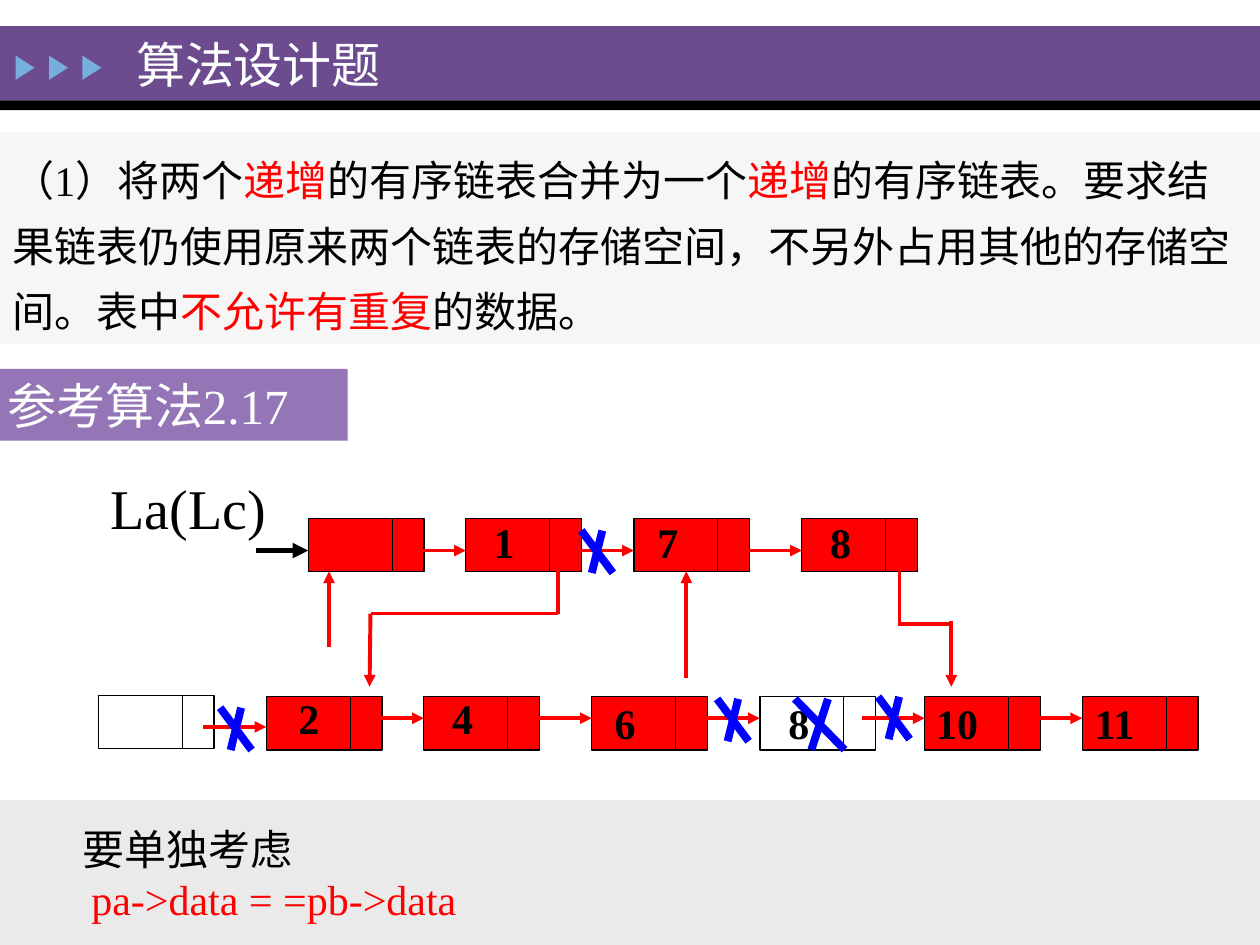
"""Draw the slide on merging two sorted linked lists."""
from typing import NamedTuple, Optional

from lxml.etree import SubElement
from pptx import Presentation
from pptx.dml.color import RGBColor as Rgb
from pptx.enum.shapes import MSO_CONNECTOR as Conn, MSO_SHAPE as Kind
from pptx.enum.text import MSO_ANCHOR as Anchor, MSO_AUTO_SIZE as Fit, PP_ALIGN as Align
from pptx.oxml.ns import qn
from pptx.util import Pt

FONT = "Times New Roman"
WHITE = Rgb(0xFE, 0xFF, 0xFF)
BLACK = Rgb(0, 0, 0)
RED = Rgb(0xFF, 0, 0)
BLUE = Rgb(0, 0, 0xFF)
PURPLE = Rgb(0x6C, 0x4C, 0x8F)
LILAC = Rgb(0x94, 0x76, 0xB6)
SKY = Rgb(0x76, 0xAE, 0xDD)
PALE = Rgb(0xF6, 0xF6, 0xF6)
GRAY = Rgb(0xEA, 0xEA, 0xEA)

DATA, LINK, HIGH = 48, 18.2, 30.4
TOP, LOW = 296.4, 398.2
LEAD = 36


class Run(NamedTuple):
    text: str
    color: Rgb = BLACK


class Node(NamedTuple):
    x: float
    y: float
    text: str = ""
    tx: float = 0
    ty: float = 0
    wide: float = 26.6
    fill: Optional[Rgb] = RED


class Edge(NamedTuple):
    x1: float
    y1: float
    x2: float
    y2: float
    head: bool = True
    color: Rgb = RED
    width: float = 2.25


class Cross(NamedTuple):
    x: float
    y: float
    w: float = 18
    h: float = 24.2


NODES = [
    Node(176.2, TOP),
    Node(266.2, TOP, "1", 275, 291.6),
    Node(362.2, TOP, "7", 368.6, 291.6),
    Node(458.2, TOP, "8", 467.3, 291.6),
    Node(56.2, 397.4, fill=None),
    Node(152.2, LOW, "2", 163.4, 392.4),
    Node(242.2, LOW, "4", 251.3, 392.4),
    Node(338.2, LOW, "6", 344.2, 395.3),
    Node(434.2, LOW, "8", 443.5, 395.3, fill=None),
    Node(528.4, LOW, "10", 527.8, 395.3, 38.6),
    Node(618.4, LOW, "11", 618.5, 395.3, 37.6),
]
EDGES = [
    Edge(146.2, 314.6, 176.2, 314.6, color=BLACK, width=3),
    Edge(116.2, 415.4, 152.2, 415.4),
    Edge(188, 370, 188, 326.5),
    Edge(319, 314.6, 319, 350.6, False),
    Edge(319, 350.6, 212, 350.6, False),
    Edge(211.7, 350.6, 211.2, 392.4),
    Edge(392.2, 387.4, 392.2, 326.5),
    Edge(514, 314.6, 514, 356.4, False),
    Edge(543, 356.4, 513, 356.4, False),
    Edge(543.6, 355, 543.6, 392.4),
]
MARKS = [
    Cross(332.2, 303.2), Cross(409.8, 399.4), Cross(125.8, 404.4),
    Cross(454.2, 399.4, 28.4, 29), Cross(501.8, 398.2),
]


def box(shapes, x: float, y: float, w: float, h: float,
        fill: Optional[Rgb], kind=Kind.RECTANGLE, edge: Optional[Rgb] = None):
    shape = shapes.add_shape(kind, Pt(x), Pt(y), Pt(w), Pt(h))
    shape.shadow.inherit = False
    if fill is None:
        shape.fill.background()
    else:
        shape.fill.solid()
        shape.fill.fore_color.rgb = fill
    if edge is None:
        shape.line.fill.background()
    else:
        shape.line.color.rgb = edge
        shape.line.width = Pt(0.75)
    return shape


def write(para, runs: list[Run], size: float, bold: bool = False) -> None:
    para.alignment = Align.LEFT
    for item in runs:
        run = para.add_run()
        run.text = item.text
        run.font.name = FONT
        run.font.size = Pt(size)
        run.font.bold = bold
        run.font.color.rgb = item.color


def label(shapes, x: float, y: float, w: float, h: float,
          text: str, size: float, bold: bool, wrap: bool) -> None:
    frame = shapes.add_textbox(Pt(x), Pt(y), Pt(w), Pt(h)).text_frame
    frame.word_wrap = wrap
    frame.auto_size = Fit.SHAPE_TO_FIT_TEXT
    write(frame.paragraphs[0], [Run(text)], size, bold)


def draw(shapes, edge: Edge) -> None:
    line = shapes.add_connector(
        Conn.STRAIGHT, Pt(edge.x1), Pt(edge.y1), Pt(edge.x2), Pt(edge.y2))
    line.line.color.rgb = edge.color
    line.line.width = Pt(edge.width)
    props = line.element.spPr
    if edge.head:
        SubElement(props.find(qn("a:ln")), qn("a:tailEnd"), type="triangle")
    SubElement(props, qn("a:effectLst"))


def strike(shapes, mark: Cross) -> None:
    x, y, w, h = mark
    for start, end in ((2 / 3, 1 / 3), (0, 1)):
        draw(shapes, Edge(x + start * w, y, x + end * w, y + h, False, BLUE, 4.5))


def head(slide) -> None:
    shapes = slide.shapes
    box(shapes, 0, 15, 720, 42.4, PURPLE)
    box(shapes, 0, 57.4, 720, 5.6, BLACK)
    for x in (7.4, 26.6, 45.6):
        box(shapes, x, 33.3, 13.8, 10.8, SKY, Kind.ISOSCELES_TRIANGLE).rotation = 90
    title = shapes.title
    title.left, title.top, title.width, title.height = Pt(70.6), Pt(15.8), Pt(267), Pt(41)
    frame = title.text_frame
    frame.vertical_anchor = Anchor.MIDDLE
    frame.auto_size = Fit.NONE
    write(frame.paragraphs[0], [Run("算法设计题", WHITE)], 28)
    title.element.getparent().append(title.element)


def panels(shapes) -> None:
    task = box(shapes, 0, 75.6, 720, 120.6, PALE).text_frame
    task.word_wrap = True
    task.paragraphs[0].line_spacing = 1.3
    write(task.paragraphs[0], [
        Run("（1）将两个"), Run("递增", RED), Run("的有序链表合并为一个"), Run("递增", RED),
        Run("的有序链表。要求结果链表仍使用原来两个链表的存储空间，不另外占用其他的存储空间。表中"),
        Run("不允许有重复", RED), Run("的数据。"),
    ], 24)
    hint = box(shapes, -2.9, 210.8, 201.6, 41, LILAC).text_frame
    write(hint.paragraphs[0], [Run("参考算法2.17", WHITE)], 28)
    note = box(shapes, -2.9, 457.2, 722.9, 84.2, GRAY).text_frame
    rows = ((note.paragraphs[0], 43, Run("要单独考虑")),
            (note.add_paragraph(), 48, Run("pa->data = =pb->data", RED)))
    for para, left, run in rows:
        para._p.get_or_add_pPr().set("marL", str(Pt(left)))
        write(para, [run], 24)
    for frame in (task, hint, note):
        frame.vertical_anchor = Anchor.MIDDLE


def chains(shapes) -> None:
    for node in NODES:
        box(shapes, node.x, node.y, DATA, HIGH, node.fill, edge=BLACK)
        box(shapes, node.x + DATA, node.y, LINK, HIGH, node.fill, edge=BLACK)
    for node in NODES[1:4] + NODES[6:]:
        y = 314.6 if node.y == TOP else 410.4
        draw(shapes, Edge(node.x - LEAD, y, node.x, y))
    for edge in EDGES:
        draw(shapes, edge)
    label(shapes, 56.2, 267.1, 106.6, 45.4, "La(Lc)", 32, False, True)
    for node in NODES:
        if node.text:
            label(shapes, node.tx, node.ty, node.wide, 36.7, node.text, 24, True, False)
    for mark in MARKS:
        strike(shapes, mark)


def main() -> None:
    deck = Presentation()
    deck.slide_width, deck.slide_height = Pt(720), Pt(540)
    slide = deck.slides.add_slide(deck.slide_layouts[5])
    slide.background.fill.solid()
    slide.background.fill.fore_color.rgb = WHITE
    head(slide)
    panels(slide.shapes)
    chains(slide.shapes)
    deck.save("out.pptx")


if __name__ == "__main__":
    main()
